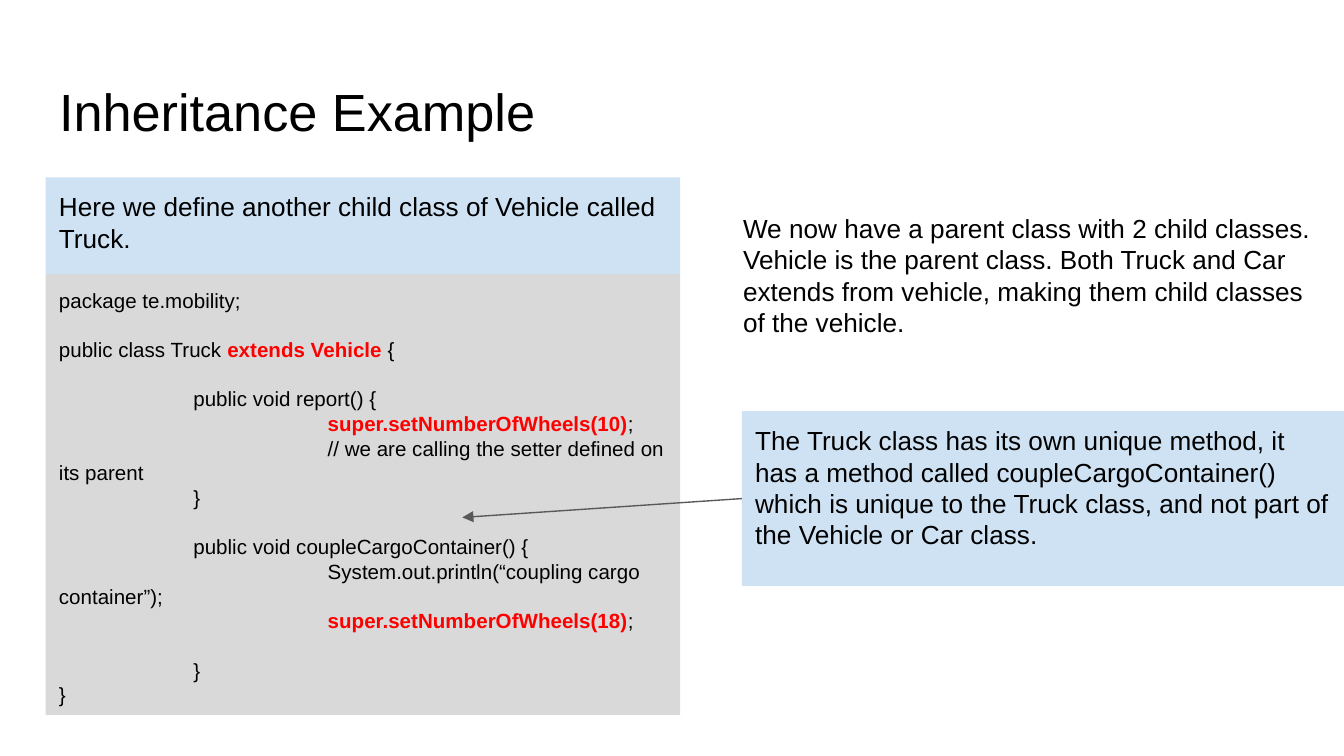
"""Build the inheritance example slide with its code panel and callouts."""
from lxml import etree
from pptx import Presentation, util as u
from pptx.dml.color import RGBColor
from pptx.enum import shapes, text
from pptx.oxml.ns import qn

PX = 4572
HUE = {"ink": "000000", "hot": "FF0000", "code": "D9D9D9", "note": "CFE2F3", "line": "595959"}
FRAME = {
    "word_wrap": True,
    "auto_size": text.MSO_AUTO_SIZE.NONE,
    "vertical_anchor": text.MSO_ANCHOR.TOP,
    **{f"margin_{side}": 20 * PX for side in ("left", "right", "top", "bottom")},
}
GAP = 13.2
CODE = [
    (0, "package te.mobility;"),
    (1, "public class Truck *extends Vehicle* {"),
    (1, "\tpublic void report() {"),
    (0, "\t\t*super.setNumberOfWheels(10)*;"),
    (0, "\t\t// we are calling the setter defined on its parent"),
    (0, "\t}"),
    (1, "\tpublic void coupleCargoContainer() {"),
    (0, "\t\tSystem.out.println(“coupling cargo container”);"),
    (0, "\t\t*super.setNumberOfWheels(18)*;"),
    (1, "\t}"),
    (0, "}"),
]
INTRO = "Here we define another child class of Vehicle called Truck."
UNIQUE = (
    "The Truck class has its own unique method, it has a method called "
    "coupleCargoContainer() which is unique to the Truck class, and not part of "
    "the Vehicle or Car class."
)
FAMILY = (
    "We now have a parent class with 2 child classes. Vehicle is the parent class. "
    "Both Truck and Car extends from vehicle, making them child classes of the vehicle."
)


def write(shape, lines, size):
    frame = shape.text_frame
    for key, val in FRAME.items():
        setattr(frame, key, val)
    for row, (gap, line) in enumerate(lines):
        para = frame.add_paragraph() if row else frame.paragraphs[0]
        para.alignment = text.PP_ALIGN.LEFT
        para.space_before = u.Pt(gap * GAP)
        if "\t" in line:
            tabs = etree.SubElement(para._p.get_or_add_pPr(), qn("a:tabLst"))
            for stop in (200, 400):
                etree.SubElement(tabs, qn("a:tab"), pos=str(stop * PX), algn="l")
        for part, words in enumerate(line.split("*")):
            hot = part % 2 == 1
            run = para.add_run()
            run.text = words
            for key, val in {"name": "Arial", "size": u.Pt(size), "bold": hot}.items():
                setattr(run.font, key, val)
            run.font.color.rgb = RGBColor.from_string(HUE["hot" if hot else "ink"])


deck = Presentation()
deck.slide_width, deck.slide_height = 2000 * PX, 1125 * PX
slide = deck.slides.add_slide(deck.slide_layouts[5])

title = slide.shapes.title
for key, val in {"left": 68, "top": 98, "width": 1864, "height": 126}.items():
    setattr(title, key, val * PX)
write(title, [(0, "Inheritance Example")], 28)

panels = [
    ((68, 408, 944, 656), "code", CODE, 11),
    ((68, 264, 944, 144), "note", [(0, INTRO)], 14),
    ((1104, 612, 896, 260), "note", [(0, UNIQUE)], 14),
]
for area, hue, lines, size in panels:
    panel = slide.shapes.add_shape(shapes.MSO_SHAPE.RECTANGLE, *(n * PX for n in area))
    panel.shadow.inherit = False
    panel.fill.solid()
    panel.fill.fore_color.rgb = RGBColor.from_string(HUE[hue])
    panel.line.fill.background()
    write(panel, lines, size)

family = slide.shapes.add_textbox(*(n * PX for n in (1086, 296, 896, 240)))
write(family, [(0, FAMILY)], 14)

ends = (n * PX for n in (1104, 742, 688, 770))
arrow = slide.shapes.add_connector(shapes.MSO_CONNECTOR.STRAIGHT, *ends)
arrow.begin_connect(panel, 1)
arrow.line.width = u.Pt(0.75)
arrow.line.color.rgb = RGBColor.from_string(HUE["line"])
etree.SubElement(arrow.line._get_or_add_ln(), qn("a:tailEnd"), type="triangle")
etree.SubElement(arrow._element.spPr, qn("a:effectLst"))

deck.save("out.pptx")
